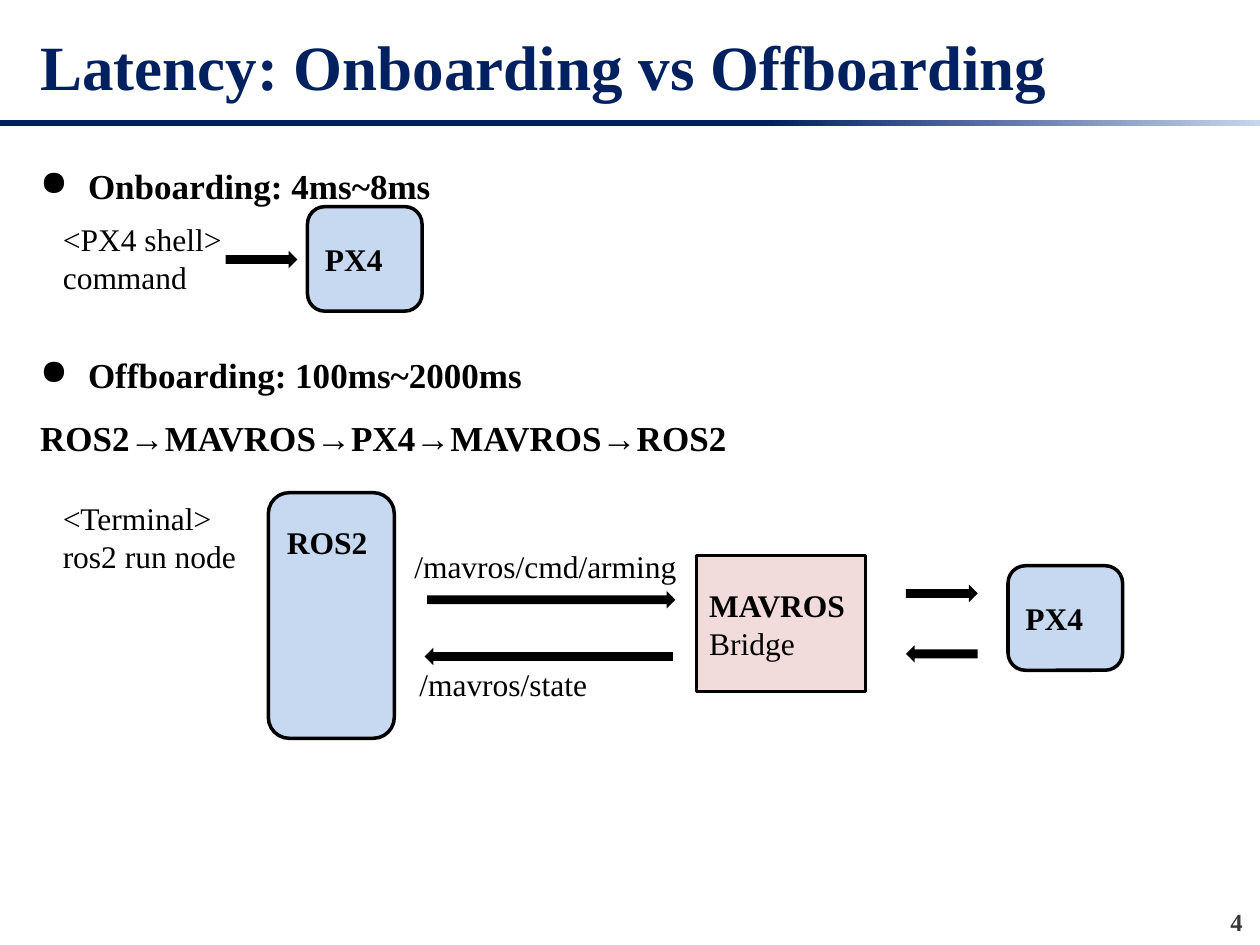
from lxml import etree
from pptx import Presentation
from pptx.dml.color import RGBColor
from pptx.enum.shapes import MSO_SHAPE
from pptx.enum.text import MSO_ANCHOR, MSO_AUTO_SIZE, PP_ALIGN
from pptx.oxml.ns import qn
from pptx.util import Inches, Pt

RECTANGLE, ROUNDED = MSO_SHAPE.RECTANGLE, MSO_SHAPE.ROUNDED_RECTANGLE
ARROW = MSO_SHAPE.RIGHT_ARROW
TOP, MIDDLE = MSO_ANCHOR.TOP, MSO_ANCHOR.MIDDLE
LEFT, RIGHT = PP_ALIGN.LEFT, PP_ALIGN.RIGHT
NO_FIT = MSO_AUTO_SIZE.NONE

FONT = "Times New Roman"
COLORS = {
    "navy": "002060", "pale": "C7D5ED", "black": "000000",
    "blue": "C6D9F1", "pink": "F2DCDB", "gray": "3B3838",
}
WIDTH, HEIGHT = 10, 7.5
MARGIN = 0.22
LABEL_LEFT = 0.4
PX4_SIZE = (0.91, 0.83)
ARROW_HEIGHT = 0.14
SHORT, LONG = 0.57, 1.97


def color(name):
    return RGBColor.from_string(COLORS[name])


def inches(*lengths):
    return [Inches(length) for length in lengths]


def format_paragraph(para, size, bold=False, ink="black", align=LEFT):
    para.alignment = align
    para.font.name = FONT
    para.font.size = Pt(size)
    para.font.bold = bold
    para.font.color.rgb = color(ink)


def write_lines(frame, lines, size=18, bold_first=False, **style):
    frame.word_wrap = True
    frame.text = "\n".join(lines)
    for index, para in enumerate(frame.paragraphs):
        format_paragraph(para, size, bold_first and index == 0, **style)


def add_title(page, text):
    title = page.shapes.title
    title.left, title.top, title.width, title.height = inches(MARGIN, 0.12, 9.5, 0.79)
    frame = title.text_frame
    frame.auto_size = NO_FIT
    frame.vertical_anchor = MIDDLE
    write_lines(frame, [text], size=36, bold_first=True, ink="navy")


def add_rule(page):
    rule = page.shapes.add_shape(RECTANGLE, *inches(0, 0.95, WIDTH, 0.05))
    rule.shadow.inherit = False
    rule.line.fill.background()
    rule.fill.gradient()
    rule.fill.gradient_angle = 0
    stops = ((0.61, "navy"), (1, "pale"))
    for stop, (position, name) in zip(rule.fill.gradient_stops, stops):
        stop.position = position
        stop.color.rgb = color(name)


def add_bullet(para):
    properties = para._p.get_or_add_pPr()
    properties.set("marL", str(Inches(0.38)))
    properties.set("indent", str(Inches(-0.38)))
    etree.SubElement(properties, qn("a:buChar")).set("char", "●")


def add_body(page, items):
    box = page.shapes.add_textbox(*inches(MARGIN, 1.09, 9.68, 4.08))
    frame = box.text_frame
    frame.word_wrap = True
    for index, (text, bulleted, gap) in enumerate(items):
        para = frame.add_paragraph() if index else frame.paragraphs[0]
        para.text = text
        if bulleted:
            add_bullet(para)
        para.line_spacing = 1.5
        if gap:
            para.space_before = Pt(gap)
        format_paragraph(para, 20, bold=True)


def add_label(page, left, top, width, lines, height=0.4, **style):
    box = page.shapes.add_textbox(*inches(left, top, width, height))
    write_lines(box.text_frame, lines, **style)


def add_node(page, kind, left, top, size, lines, fill="blue", anchor=MIDDLE):
    node = page.shapes.add_shape(kind, *inches(left, top, *size))
    node.shadow.inherit = False
    node.fill.solid()
    node.fill.fore_color.rgb = color(fill)
    node.line.color.rgb = color("black")
    node.line.width = Pt(2)
    frame = node.text_frame
    frame.vertical_anchor = anchor
    if anchor == TOP:
        frame.margin_top = Inches(0.19)
    write_lines(frame, lines, bold_first=True)


def add_arrow(page, left, top, width, backward=False):
    arrow = page.shapes.add_shape(ARROW, *inches(left, top, width, ARROW_HEIGHT))
    arrow.shadow.inherit = False
    arrow.fill.solid()
    arrow.fill.fore_color.rgb = color("black")
    arrow.line.fill.background()
    arrow.rotation = 180 if backward else 0


def main():
    deck = Presentation()
    deck.slide_width, deck.slide_height = inches(WIDTH, HEIGHT)
    page = deck.slides.add_slide(deck.slide_layouts[5])

    # Heading and page number
    add_title(page, "Latency: Onboarding vs Offboarding")
    add_rule(page)
    add_label(page, 9.54, 7.15, 0.42, ["4"], height=0.3, size=14,
              bold_first=True, ink="gray", align=RIGHT)

    # Measured latencies: text, bulleted, space before
    add_body(page, [
        ("Onboarding: 4ms~8ms", True, 0),
        ("Offboarding: 100ms~2000ms", True, 72),
        ("ROS2→MAVROS→PX4→MAVROS→ROS2", False, 0),
    ])

    # Onboarding flow
    add_label(page, LABEL_LEFT, 1.7, 1.65, ["<PX4 shell>", "command"], height=0.71)
    add_arrow(page, 1.79, 1.99, SHORT)
    add_node(page, ROUNDED, 2.44, 1.64, PX4_SIZE, ["PX4"])

    # Offboarding flow
    add_label(page, LABEL_LEFT, 3.91, 1.74, ["<Terminal>", "ros2 run node"], height=0.71)
    add_node(page, ROUNDED, 2.13, 3.91, (1, 1.95), ["ROS2"], anchor=TOP)
    add_node(page, RECTANGLE, 5.53, 4.41, (1.34, 1.08), ["MAVROS", "Bridge"], fill="pink")
    add_node(page, ROUNDED, 8, 4.49, PX4_SIZE, ["PX4"])
    add_arrow(page, 3.39, 4.69, LONG)
    add_arrow(page, 3.37, 5.14, LONG, backward=True)
    add_arrow(page, 7.19, 4.64, SHORT)
    add_arrow(page, 7.19, 5.12, SHORT, backward=True)
    add_label(page, 3.19, 4.29, 2.34, ["/mavros/cmd/arming"])
    add_label(page, 3.23, 5.23, 1.65, ["/mavros/state"])

    deck.save("out.pptx")


if __name__ == "__main__":
    main()
